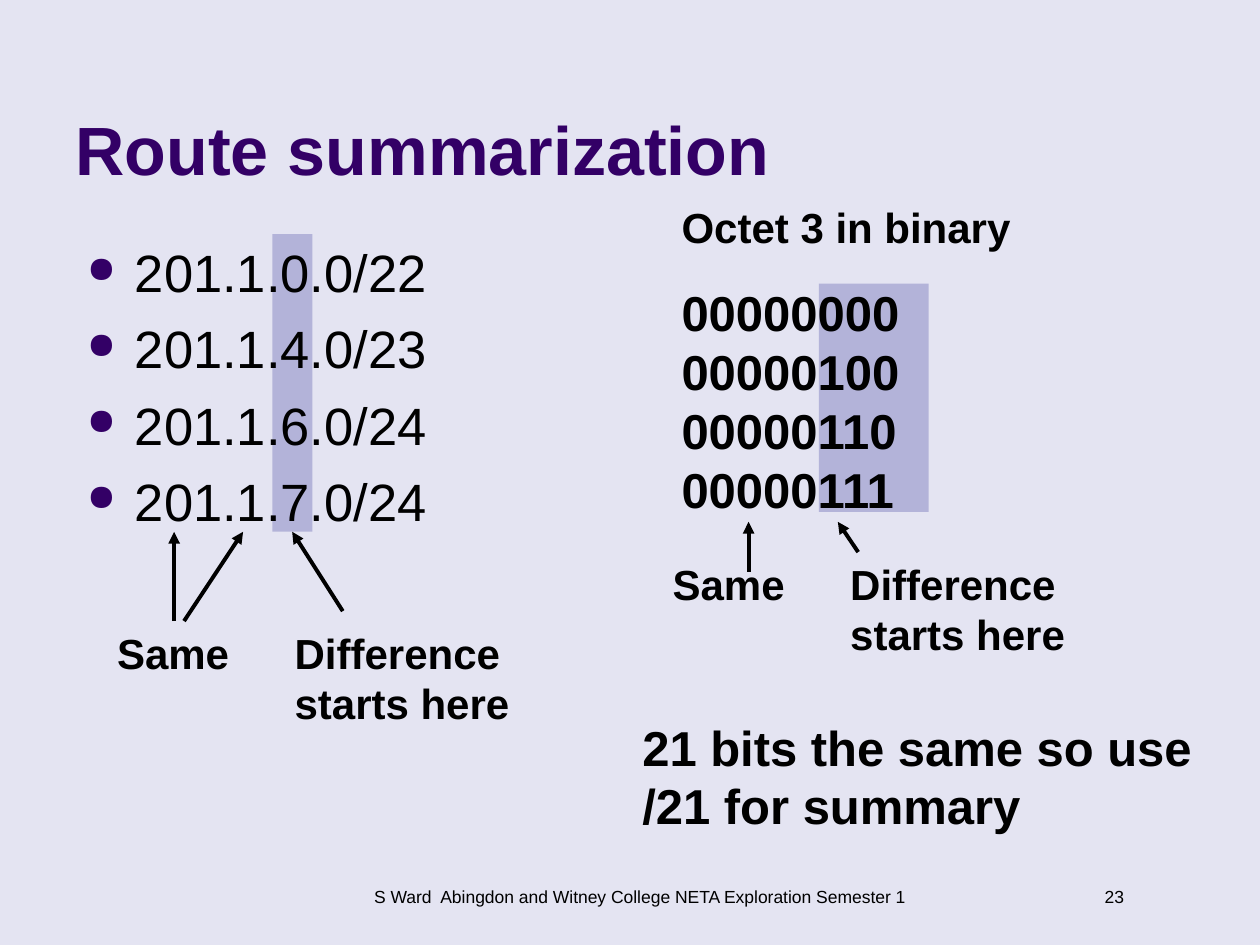
"""Build the route summarization slide."""
import pptx
import pptx.dml.color
import pptx.enum.shapes
import pptx.enum.text
import pptx.oxml
import pptx.util
import lxml.etree
from pptx.util import Cm

BLACK, PURPLE, LILAC, PALE = "000000", "330066", "B3B3D9", "E4E4F2"
ALIGN = pptx.enum.text.PP_ALIGN


def rgb(value):
    """Turn a hex string into a colour."""
    return pptx.dml.color.RGBColor.from_string(value)


def add_run(para, text, size, bold=True, color=BLACK):
    """Add one formatted run to a paragraph."""
    run = para.add_run()
    run.text = text
    run.font.name = "Arial"
    run.font.size = pptx.util.Pt(size)
    run.font.bold = bold
    run.font.color.rgb = rgb(color)


deck = pptx.Presentation()
deck.slide_width, deck.slide_height = Cm(25.4), Cm(19.05)
page = deck.slides.add_slide(deck.slide_layouts[5])
page.background.fill.solid()
page.background.fill.fore_color.rgb = rgb(PALE)

for left, top, width, height in [(16.51, 5.72, 2.21, 4.6), (5.49, 4.72, 0.81, 6)]:
    band = page.shapes.add_shape(
        pptx.enum.shapes.MSO_SHAPE.RECTANGLE, Cm(left), Cm(top), Cm(width), Cm(height))
    band.shadow.inherit = False
    band.fill.solid()
    band.fill.fore_color.rgb = rgb(LILAC)
    band.line.fill.background()

title = page.shapes.title
title.left, title.top, title.width, title.height = Cm(1.27), Cm(0.33), Cm(20.96), Cm(3.61)
title.text_frame.vertical_anchor = pptx.enum.text.MSO_ANCHOR.BOTTOM
title.text_frame.paragraphs[0].alignment = ALIGN.LEFT
add_run(title.text_frame.paragraphs[0], "Route summarization", 39, color=PURPLE)

routes = page.shapes.add_textbox(Cm(1.5), Cm(4.72), Cm(8.61), Cm(6.4)).text_frame
routes.word_wrap = True
for index, route in enumerate(["201.1.0.0/22", "201.1.4.0/23", "201.1.6.0/24", "201.1.7.0/24"]):
    para = routes.add_paragraph() if index else routes.paragraphs[0]
    properties = para._p.get_or_add_pPr()
    properties.set("marL", str(Cm(0.97)))
    properties.set("indent", str(Cm(-0.97)))
    if index:
        para.space_before = pptx.util.Pt(7.5)
    color = lxml.etree.SubElement(properties, pptx.oxml.ns.qn("a:buClr"))
    lxml.etree.SubElement(color, pptx.oxml.ns.qn("a:srgbClr"), val=PURPLE)
    lxml.etree.SubElement(properties, pptx.oxml.ns.qn("a:buSzPct"), val="70000")
    lxml.etree.SubElement(properties, pptx.oxml.ns.qn("a:buChar"), char="●")
    add_run(para, route, 30, bold=False)

binary = page.shapes.add_textbox(Cm(13.49), Cm(3.94), Cm(10.01), Cm(6.63)).text_frame
binary.word_wrap = True
add_run(binary.paragraphs[0], "Octet 3 in binary", 24)
octets = binary.add_paragraph()
octets.space_before = pptx.util.Pt(17.5)
for index, octet in enumerate(["00000000", "00000100", "00000110", "00000111"]):
    if index:
        octets.add_line_break()
    add_run(octets, octet, 28)

labels = [
    ("Same", 2.11, 12.52, 3.4, 1.27, 24, True, ALIGN.LEFT),
    ("Difference starts here", 5.69, 12.52, 6.2, 2.29, 24, True, ALIGN.LEFT),
    ("Same", 13.31, 11.13, 3.4, 1.27, 24, True, ALIGN.LEFT),
    ("Difference starts here", 16.89, 11.13, 6.81, 2.29, 24, True, ALIGN.LEFT),
    ("21 bits the same so use /21 for summary", 12.7, 14.33, 11.61, 2.64, 28, True, ALIGN.LEFT),
    ("S Ward  Abingdon and Witney College NETA Exploration Semester 1",
     6.1, 17.73, 13.59, 0.79, 10, False, ALIGN.CENTER),
    ("23", 21.31, 17.73, 1.6, 0.69, 10, False, ALIGN.RIGHT),
]
for text, left, top, width, height, size, bold, alignment in labels:
    label = page.shapes.add_textbox(Cm(left), Cm(top), Cm(width), Cm(height)).text_frame
    label.word_wrap = True
    label.paragraphs[0].alignment = alignment
    add_run(label.paragraphs[0], text, size, bold)

arrows = [
    (3.51, 12.52, 3.51, 10.72),
    (3.71, 12.52, 4.9, 10.72),
    (6.91, 12.32, 5.89, 10.72),
    (15.09, 11.53, 15.09, 10.52),
    (17.3, 11.13, 16.89, 10.52),
]
for ends in arrows:
    arrow = page.shapes.add_connector(
        pptx.enum.shapes.MSO_CONNECTOR.STRAIGHT, *[Cm(end) for end in ends])
    arrow.line.color.rgb = rgb(BLACK)
    arrow.line.width = pptx.util.Pt(2.25)
    lxml.etree.SubElement(
        arrow.line._get_or_add_ln(), pptx.oxml.ns.qn("a:tailEnd"), type="triangle")
    lxml.etree.SubElement(arrow._element.spPr, pptx.oxml.ns.qn("a:effectLst"))

deck.save("out.pptx")
